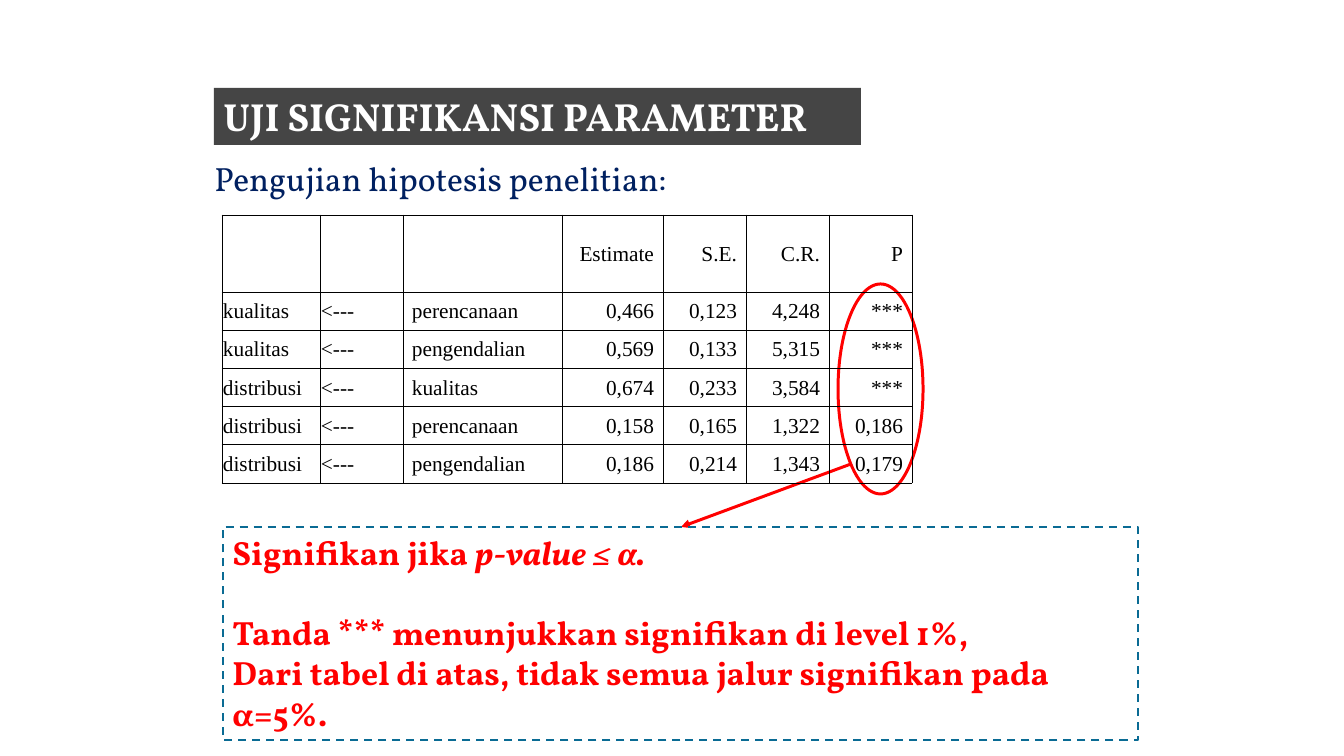
from dataclasses import dataclass

from lxml import etree
from pptx import Presentation
from pptx.dml.color import RGBColor
from pptx.enum.dml import MSO_LINE
from pptx.enum.shapes import MSO_CONNECTOR, MSO_SHAPE
from pptx.enum.text import MSO_ANCHOR, PP_ALIGN
from pptx.oxml.ns import qn
from pptx.util import Pt

PX = 9525
LEFT, RIGHT = PP_ALIGN.LEFT, PP_ALIGN.RIGHT
TOP, MIDDLE = MSO_ANCHOR.TOP, MSO_ANCHOR.MIDDLE
RECT, OVAL = MSO_SHAPE.RECTANGLE, MSO_SHAPE.OVAL
STRAIGHT = MSO_CONNECTOR.STRAIGHT
DASH = MSO_LINE.DASH


@dataclass(frozen=True)
class Theme:
    font: str = "Vollkorn"
    table_font: str = "Times New Roman"
    title_size: float = 29.4
    body_size: float = 25.2
    table_size: float = 16
    bar: str = "454545"
    white: str = "FFFFFF"
    navy: str = "002060"
    red: str = "FF0000"
    teal: str = "0A6B94"
    black: str = "000000"


T = Theme()

COLUMNS = [98, 83, 159, 101, 83, 83, 83]
HEADER_HEIGHT = 77
FIRST_NUMBER = 3
ROWS = [
    ["", "", "", "Estimate", "S.E.", "C.R.", "P"],
    ["kualitas", "<---", "perencanaan", "0,466", "0,123", "4,248", "***"],
    ["kualitas", "<---", "pengendalian", "0,569", "0,133", "5,315", "***"],
    ["distribusi", "<---", "kualitas", "0,674", "0,233", "3,584", "***"],
    ["distribusi", "<---", "perencanaan", "0,158", "0,165", "1,322", "0,186"],
    ["distribusi", "<---", "pengendalian", "0,186", "0,214", "1,343", "0,179"],
]


def px(*values):
    return [round(v * PX) for v in values]


def add_run(p, text, font, size, color, bold=False, italic=False):
    r = p.add_run()
    r.text = text
    r.font.name = font
    r.font.size = Pt(size)
    r.font.bold = bold
    r.font.italic = italic
    r.font.color.rgb = RGBColor.from_string(color)


def add_shape(slide, kind, box, fill=None, line=None, width=0):
    sp = slide.shapes.add_shape(kind, *px(*box))
    sp.shadow.inherit = False
    if fill:
        sp.fill.solid()
        sp.fill.fore_color.rgb = RGBColor.from_string(fill)
    else:
        sp.fill.background()
    if line:
        sp.line.color.rgb = RGBColor.from_string(line)
        sp.line.width = Pt(width)
    else:
        sp.line.fill.background()
    return sp


def first_paragraph(sp):
    tf = sp.text_frame
    tf.word_wrap = True
    tf.vertical_anchor = TOP
    p = tf.paragraphs[0]
    p.alignment = LEFT
    return p


def add_title(slide, box):
    sp = add_shape(slide, RECT, box, fill=T.bar)
    add_run(first_paragraph(sp), "UJI SIGNIFIKANSI PARAMETER",
            T.font, T.title_size, T.white, bold=True)


def add_subtitle(slide, box):
    sp = slide.shapes.add_textbox(*px(*box))
    add_run(first_paragraph(sp), "Pengujian hipotesis penelitian:",
            T.font, T.body_size, T.navy)


def add_highlight(slide, box):
    """Ring the P column at the right of the box; arrow to its bottom left corner."""
    x, y, w, h = box
    cn = slide.shapes.add_connector(
        STRAIGHT, *px(x, y + h, x + 170, y + 180))
    cn.line.color.rgb = RGBColor.from_string(T.red)
    cn.line.width = Pt(2.25)
    etree.SubElement(cn.line._get_or_add_ln(), qn("a:headEnd"), type="triangle")
    etree.SubElement(cn._element.spPr, qn("a:effectLst"))

    length, breadth = 210, 85
    shift = (length - breadth) / 2
    ring = add_shape(slide, OVAL,
                     (x + w - breadth - shift, y + shift, length, breadth),
                     line=T.red, width=2.25)
    ring.rotation = 90


def add_note(slide, box):
    sp = add_shape(slide, RECT, box, line=T.teal, width=1.5)
    sp.line.dash_style = DASH
    lines = [
        [("Signifikan jika ", False), ("p-value ≤ α.", True)],
        [("Tanda *** menunjukkan signifikan di level 1%,", False)],
        [("Dari tabel di atas, tidak semua jalur signifikan pada α=5%.", False)],
    ]
    p = first_paragraph(sp)
    p.space_after = Pt(30)
    for i, runs in enumerate(lines):
        if i:
            p = sp.text_frame.add_paragraph()
            p.alignment = LEFT
        for text, italic in runs:
            add_run(p, text, T.font, T.body_size, T.red, bold=True, italic=italic)


def style_cell(cell):
    """Thin black border on all sides, no fill."""
    tcPr = cell._tc.get_or_add_tcPr()
    for side in ("a:lnL", "a:lnR", "a:lnT", "a:lnB"):
        ln = etree.SubElement(tcPr, qn(side), w=str(Pt(0.5)))
        fill = etree.SubElement(ln, qn("a:solidFill"))
        etree.SubElement(fill, qn("a:srgbClr"), val=T.black)
    cell.fill.background()


def add_estimates(slide, box):
    table = slide.shapes.add_table(len(ROWS), len(COLUMNS), *px(*box)).table
    table.first_row = table.horz_banding = False
    for col, width in zip(table.columns, COLUMNS):
        col.width = width * PX
    row_height = (box[3] - HEADER_HEIGHT) / (len(ROWS) - 1)
    for i, values in enumerate(ROWS):
        table.rows[i].height = round((row_height if i else HEADER_HEIGHT) * PX)
        for j, text in enumerate(values):
            cell = table.cell(i, j)
            number = j >= FIRST_NUMBER
            cell.margin_left = (9 if j == FIRST_NUMBER - 1 else 1) * PX
            cell.margin_right = (9 if number else 1) * PX
            cell.margin_top, cell.margin_bottom = PX, 0
            cell.vertical_anchor = MIDDLE
            style_cell(cell)
            if text:
                p = cell.text_frame.paragraphs[0]
                p.alignment = RIGHT if number else LEFT
                add_run(p, text, T.table_font, T.table_size, T.black)


def main():
    prs = Presentation()
    prs.slide_width, prs.slide_height = px(1344, 756)
    slide = prs.slides.add_slide(prs.slide_layouts[6])
    add_subtitle(slide, (205, 153, 932, 51))
    add_title(slide, (214, 88, 647, 57))
    add_highlight(slide, (681, 284, 242, 243))
    add_note(slide, (223, 527, 915, 213))
    add_estimates(slide, (222, 215, sum(COLUMNS), 268))
    prs.save("out.pptx")


if __name__ == "__main__":
    main()
